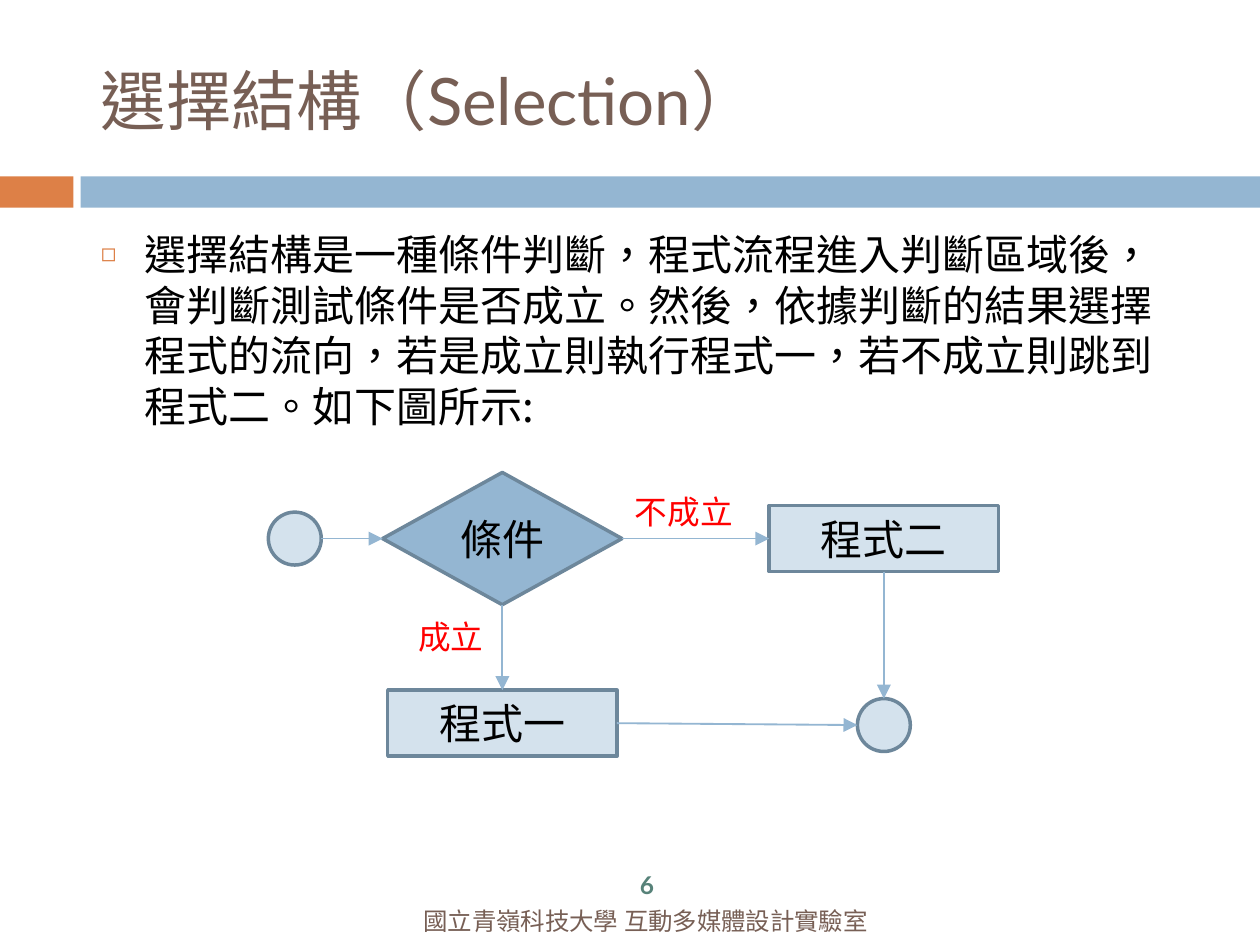
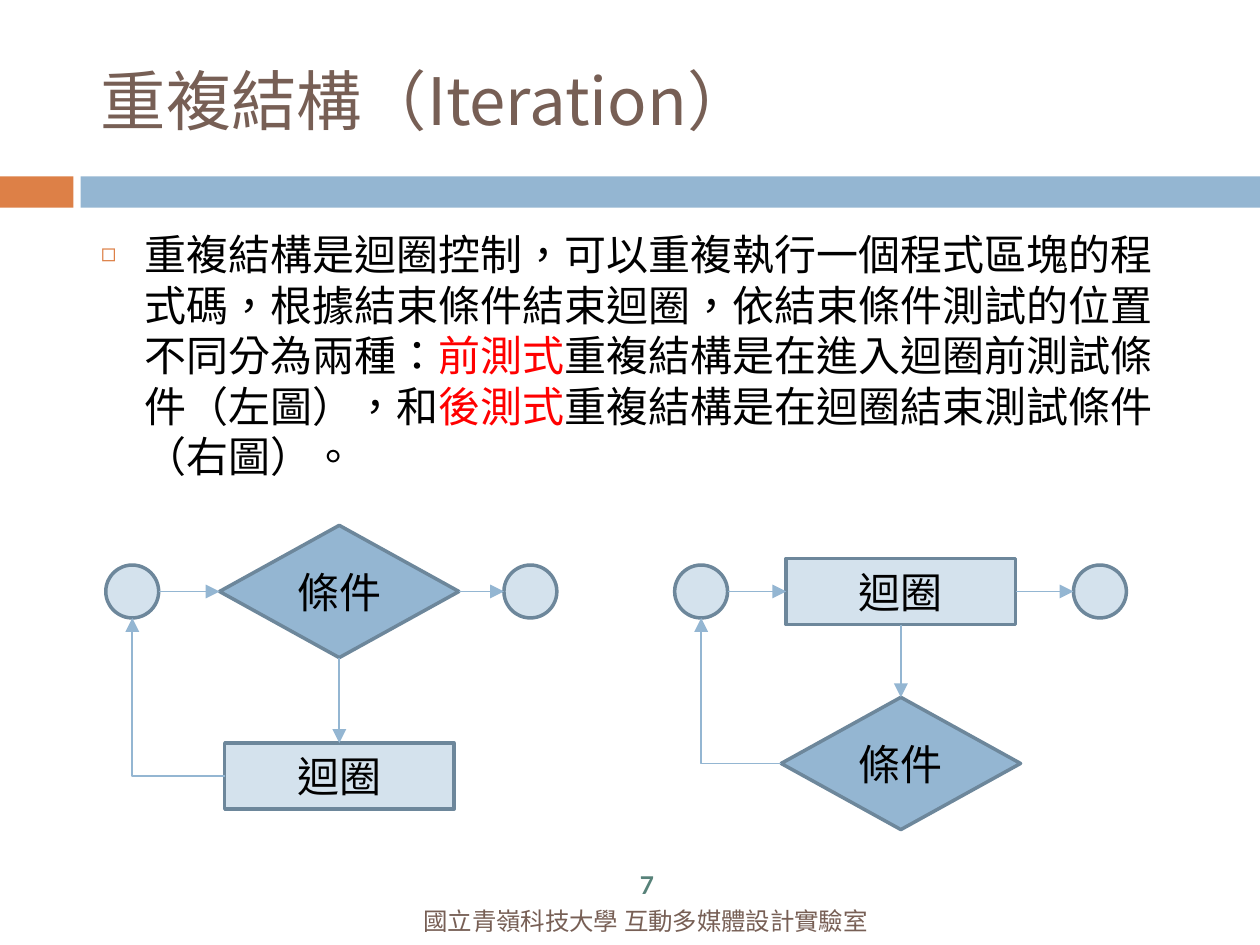
from lxml import etree
from pptx import Presentation
from pptx.dml.color import RGBColor
from pptx.enum.shapes import MSO_CONNECTOR, MSO_SHAPE
from pptx.enum.text import MSO_ANCHOR, MSO_AUTO_SIZE, PP_ALIGN
from pptx.oxml.ns import qn
from pptx.util import Inches, Pt

RECTANGLE, OVAL, DIAMOND = MSO_SHAPE.RECTANGLE, MSO_SHAPE.OVAL, MSO_SHAPE.DIAMOND
STRAIGHT, ELBOW = MSO_CONNECTOR.STRAIGHT, MSO_CONNECTOR.ELBOW
TOP, MIDDLE = MSO_ANCHOR.TOP, MSO_ANCHOR.MIDDLE
LEFT, CENTER = PP_ALIGN.LEFT, PP_ALIGN.CENTER
FIXED, GROW = MSO_AUTO_SIZE.NONE, MSO_AUTO_SIZE.SHAPE_TO_FIT_TEXT

COLUMNS, ROWS = 100, 75
CELL = Inches(7.5) / COLUMNS

COLORS = {
    "accent": "DD8047",
    "blue": "94B6D2",
    "pale": "D4E2ED",
    "outline": "6D879B",
    "title": "775F55",
    "number": "578279",
    "text": "000000",
    "alert": "FF0000",
}
LATO, NOTO = "Lato", "Noto Sans CJK SC"

FORMATS = {
    "title": {
        "font": {"name": LATO, "size": Pt(28), "bold": False}, "color": "title",
        "para": {"alignment": LEFT},
        "frame": {"vertical_anchor": MIDDLE, "word_wrap": True, "auto_size": FIXED},
    },
    "body": {
        "font": {"name": NOTO, "size": Pt(18)}, "color": "text",
        "para": {"alignment": LEFT, "space_before": Pt(5.2)},
        "frame": {"vertical_anchor": TOP, "word_wrap": True, "auto_size": FIXED},
    },
    "footer": {
        "font": {"name": LATO, "size": Pt(10.5)}, "color": "title",
        "para": {"alignment": CENTER},
        "frame": {"vertical_anchor": MIDDLE, "word_wrap": True},
    },
    "number": {
        "font": {"name": LATO, "size": Pt(10.5), "bold": True}, "color": "number",
        "para": {"alignment": CENTER},
        "frame": {"vertical_anchor": MIDDLE, "word_wrap": True},
    },
    "node": {
        "font": {"name": LATO, "size": Pt(18)}, "color": "text",
        "para": {"alignment": CENTER},
        "frame": {"vertical_anchor": MIDDLE, "word_wrap": True},
    },
    "label": {
        "font": {"name": LATO, "size": Pt(14)}, "color": "alert",
        "para": {"alignment": LEFT},
        "frame": {"vertical_anchor": TOP, "word_wrap": False, "auto_size": GROW},
    },
}

NODES = {
    "terminal": (OVAL, 4.2, 4.2, "pale"),
    "step": (RECTANGLE, 18.2, 5.25, "pale"),
    "decision": (DIAMOND, 19, 10.5, "blue"),
}
SIDES = {"left": (0, 0.5), "right": (1, 0.5), "top": (0.5, 0), "bottom": (0.5, 1)}

TITLE_AREA = (6.67, 2.5, 89.2, 10.8)
BODY_AREA = (6.67, 17.5, 89.2, 49.2)
FOOTER_AREA = (21.6, 71.75, 59.3, 2.6)
NUMBER_AREA = (48.4, 68.9, 5.9, 2.6)
BANDS = [((0, 14, 5.83, 2.5), "accent"), ((6.4, 14, 93.6, 2.5), "blue")]
FOOTER = "國立青嶺科技大學 互動多媒體設計實驗室"


def cells(*lengths):
    return [round(length * CELL) for length in lengths]


def color(name):
    return RGBColor.from_string(COLORS[name])


def set_all(target, values):
    for name, value in values.items():
        setattr(target, name, value)


def place(box, area):
    set_all(box, dict(zip(("left", "top", "width", "height"), cells(*area))))


def write(box, pieces, style, font_name=None):
    look = FORMATS[style]
    frame = box.text_frame
    set_all(frame, look["frame"])
    para = frame.paragraphs[0]
    set_all(para, look["para"])
    for text, tint in pieces:
        span = para.add_run()
        span.text = text
        set_all(span.font, look["font"])
        span.font.name = font_name or look["font"]["name"]
        span.font.color.rgb = color(tint or look["color"])
        properties = span._r.get_or_add_rPr()
        properties.set("lang", "zh-TW")
        etree.SubElement(properties, qn("a:ea"), typeface=LATO)
    return para


def add_bullet(para):
    properties = para._p.get_or_add_pPr()
    indent = Inches(0.26)
    properties.set("marL", str(indent))
    properties.set("indent", str(-indent))
    tint = etree.SubElement(properties, qn("a:buClr"))
    etree.SubElement(tint, qn("a:srgbClr"), val=COLORS["accent"])
    etree.SubElement(properties, qn("a:buSzPct"), val="60000")
    etree.SubElement(properties, qn("a:buChar"), char="◻")


def add_text(slide, area, text, style):
    write(slide.shapes.add_textbox(*cells(*area)), [(text, None)], style)


def add_block(slide, preset, area, fill):
    block = slide.shapes.add_shape(preset, *cells(*area))
    block.shadow.inherit = False
    block.fill.solid()
    block.fill.fore_color.rgb = color(fill)
    block.line.fill.background()
    return block


def add_node(slide, kind, column, row, text=None):
    preset, width, height, fill = NODES[kind]
    area = (column - width / 2, row - height / 2, width, height)
    node = add_block(slide, preset, area, fill)
    node.line.color.rgb = color("outline")
    node.line.width = Pt(1.5)
    if text:
        write(node, [(text, None)], "node")
    return node


def side_point(node, side):
    across, down = SIDES[side]
    return round(node.left + across * node.width), round(node.top + down * node.height)


def add_arrow(slide, source, source_side, target, target_side, kind=STRAIGHT):
    start, end = side_point(source, source_side), side_point(target, target_side)
    if kind == ELBOW:
        start, end = end, start
    arrow = slide.shapes.add_connector(kind, *start, *end)
    arrow.line.color.rgb = color("blue")
    arrow.line.width = Pt(0.79)
    etree.SubElement(arrow.line._get_or_add_ln(), qn("a:tailEnd"), type="triangle")
    properties = arrow.element.spPr
    etree.SubElement(properties, qn("a:effectLst"))
    if kind == ELBOW:
        properties.find(qn("a:xfrm")).set("rot", "10800000")
        properties.find(qn("a:prstGeom")).set("prst", "bentConnector2")


def add_return(slide, source, target):
    add_arrow(slide, source, "left", target, "bottom", ELBOW)


def prepare_layout(deck):
    layout = deck.slide_layouts[1]
    for holder, area in zip(layout.placeholders, (TITLE_AREA, BODY_AREA)):
        place(holder, area)
    return layout


def add_bands(slide, layout):
    for position, (area, fill) in enumerate(BANDS):
        band = add_block(slide, RECTANGLE, area, fill)
        layout.shapes.element.insert(2 + position, band.element)


def add_page(deck, layout, number, title, pieces, title_font):
    slide = deck.slides.add_slide(layout)
    write(slide.shapes.title, [(title, None)], "title", title_font)
    add_bullet(write(slide.placeholders[1], pieces, "body"))
    add_text(slide, FOOTER_AREA, FOOTER, "footer")
    add_text(slide, NUMBER_AREA, str(number), "number")
    return slide


def draw_selection(slide):
    upper, lower = 42.75, 57.4
    start = add_node(slide, "terminal", 23.4, upper)
    decision = add_node(slide, "decision", 39.87, upper, "條件")
    first = add_node(slide, "step", 39.87, lower, "程式一")
    second = add_node(slide, "step", 70.15, upper, "程式二")
    end = add_node(slide, "terminal", 70.15, lower + 0.15)
    add_arrow(slide, start, "right", decision, "left")
    add_arrow(slide, decision, "right", second, "left")
    add_arrow(slide, decision, "bottom", first, "top")
    add_arrow(slide, first, "right", end, "left")
    add_arrow(slide, second, "bottom", end, "top")
    add_text(slide, (31.87, 48.27, 7.9, 4.5), "成立", "label")
    add_text(slide, (49.07, 38.4, 10.5, 4.5), "不成立", "label")


def draw_loop(slide, columns, upper_kind, upper_text, lower_kind, lower_text, lower_row):
    row = 46.95
    start_column, middle_column, end_column = columns
    start = add_node(slide, "terminal", start_column, row)
    upper = add_node(slide, upper_kind, middle_column, row, upper_text)
    lower = add_node(slide, lower_kind, middle_column, lower_row, lower_text)
    end = add_node(slide, "terminal", end_column, row)
    add_arrow(slide, start, "right", upper, "left")
    add_arrow(slide, upper, "right", end, "left")
    add_arrow(slide, upper, "bottom", lower, "top")
    add_return(slide, lower, start)


def main():
    deck = Presentation()
    deck.slide_width, deck.slide_height = cells(COLUMNS, ROWS)
    layout = prepare_layout(deck)

    selection = add_page(deck, layout, 6, "選擇結構（Selection）", [
        ("選擇結構是一種條件判斷，程式流程進入判斷區域後，會判斷測試條件是否成立。"
         "然後，依據判斷的結果選擇程式的流向，若是成立則執行程式一，"
         "若不成立則跳到程式二。如下圖所示:", None),
    ], LATO)
    add_bands(selection, layout)
    draw_selection(selection)

    iteration = add_page(deck, layout, 7, "重複結構（Iteration）", [
        ("重複結構是迴圈控制，可以重複執行一個程式區塊的程式碼，"
         "根據結束條件結束迴圈，依結束條件測試的位置不同分為兩種：", None),
        ("前測式", "alert"),
        ("重複結構是在進入迴圈前測試條件（左圖），和", None),
        ("後測式", "alert"),
        ("重複結構是在迴圈結束測試條件（右圖）。", None),
    ], NOTO)
    draw_loop(iteration, (10.5, 26.93, 42.1), "decision", "條件", "step", "迴圈", 61.6)
    draw_loop(iteration, (55.65, 71.5, 87.3), "step", "迴圈", "decision", "條件", 60.6)

    deck.save("out.pptx")


main()
